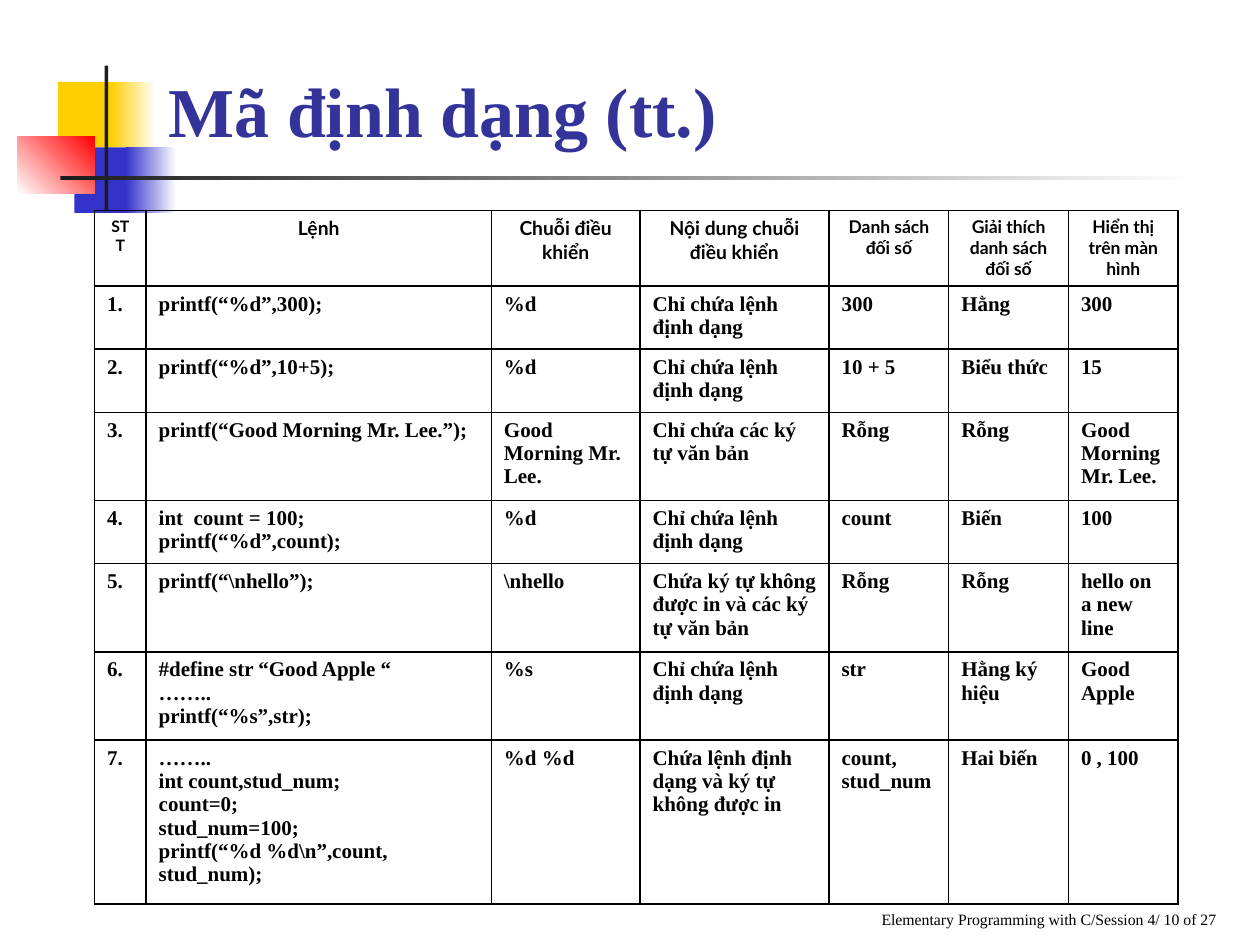
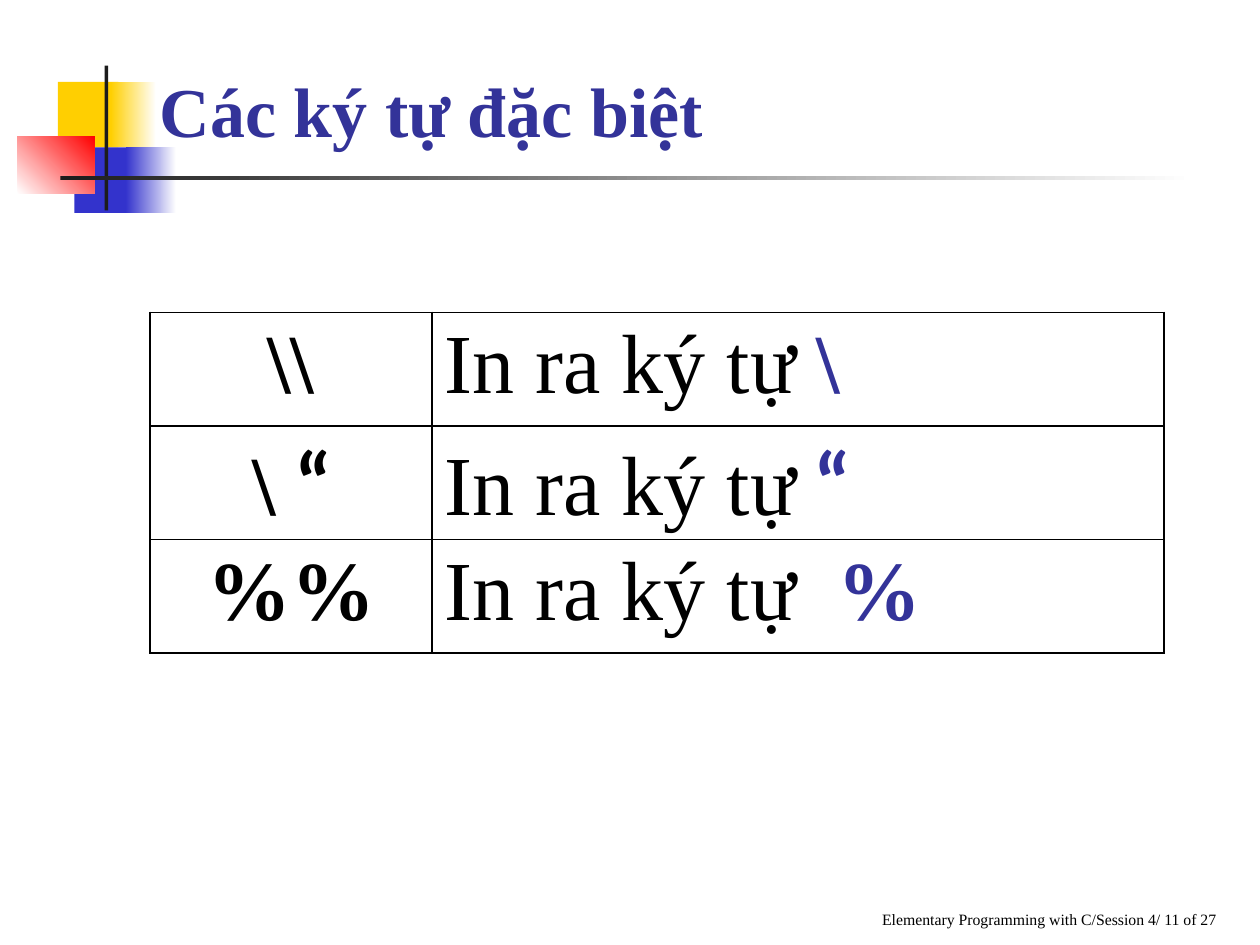
from pptx import Presentation
from pptx.dml.color import RGBColor
from pptx.enum.shapes import MSO_SHAPE
from pptx.enum.text import MSO_ANCHOR, PP_ALIGN
from pptx.oxml import parse_xml
from pptx.oxml.ns import nsdecls
from pptx.util import Inches, Pt

COLORS = {
    "yellow": "FFCF01", "blue": "3333CC", "red": "FF0000", "dark": "1C1C1C",
    "white": "FFFFFF", "black": "000000", "accent": "333399",
}
SERIF, SANS = "Times New Roman", "Lato"

# Decoration: left, top, width, height, colours (two make a gradient), angle
BANDS = [
    (0.46, 0.65, 0.48, 0.52, ["yellow"], 0),
    (0.88, 0.65, 0.36, 0.52, ["yellow", "white"], 0),
    (0.59, 1.17, 0.46, 0.52, ["blue"], 0),
    (1, 1.17, 0.4, 0.52, ["blue", "white"], 0),
    (0.14, 1.08, 0.61, 0.46, ["white", "red"], 45),
    (0.83, 0.52, 0.03, 1.15, ["dark"], 0),
    (0.48, 1.4, 9, 0.03, ["dark", "white"], 0),
]

# Title, title box, page number
SLIDES = [
    ("Mã định dạng (tt.)", (1.24, 0.52, 6.76, 0.73), 10),
    ("Các ký tự đặc biệt", (1.17, 0.43, 6.43, 0.82), 11),
]

FORMAT_COLS = [0.41, 2.74, 1.18, 1.5, 0.95, 0.95, 0.87]
FORMAT_ROWS = [0.42, 0.39, 0.32, 0.41, 0.44, 0.4, 0.61, 0.99]
HEADER_SIZES = [9, 11, 11, 11, 10, 10, 10]
ONLY_FORMAT = "Chỉ chứa lệnh định dạng"
FORMAT_CELLS = [
    ["STT", "Lệnh", "Chuỗi điều khiển", "Nội dung chuỗi điều khiển",
     "Danh sách đối số", "Giải thích danh sách đối số",
     "Hiển thị trên màn hình"],
    ["1.", "printf(“%d”,300);", "%d", ONLY_FORMAT, "300", "Hằng", "300"],
    ["2.", "printf(“%d”,10+5);", "%d", ONLY_FORMAT, "10 + 5", "Biểu thức",
     "15"],
    ["3.", "printf(“Good Morning Mr. Lee.”);", "Good Morning Mr. Lee.",
     "Chỉ chứa các ký tự văn bản", "Rỗng", "Rỗng", "Good Morning Mr. Lee."],
    ["4.", "int  count = 100;\nprintf(“%d”,count);", "%d", ONLY_FORMAT,
     "count", "Biến", "100"],
    ["5.", "printf(“\\nhello”);", "\\nhello",
     "Chứa ký tự không được in và các ký tự văn bản", "Rỗng", "Rỗng",
     "hello on a new line"],
    ["6.", "#define str “Good Apple “\n……..\nprintf(“%s”,str);", "%s",
     ONLY_FORMAT, "str", "Hằng ký hiệu", "Good Apple"],
    ["7.", "……..\nint count,stud_num;\ncount=0;\nstud_num=100;\n"
     "printf(“%d %d\\n”,count, stud_num);", "%d %d",
     "Chứa lệnh định dạng và ký tự không được in", "count, stud_num",
     "Hai biến", "0 , 100"],
]

# Escape sequence as (text, font) runs, description, printed character, font
ESCAPES = [
    ([("\\\\", SERIF)], "In ra ký tự ", "\\", SERIF),
    ([("\\ ", SERIF), ("“", SANS)], "In ra ký tự ", "“ ", SANS),
    ([("%%", SERIF)], "In ra ký tự  ", "%", SERIF),
]


def style_run(r, size, color="black", bold=True, font=SERIF):
    """Set the font, size, weight and colour of a run."""
    r.font.name, r.font.size, r.font.bold = font, Pt(size), bold
    r.font.color.rgb = RGBColor.from_string(COLORS[color])


def add_grid(s, left, top, cols, rows):
    """Add an unfilled table with thin black borders and return its frame."""
    frame = s.shapes.add_table(len(rows), len(cols), Inches(left), Inches(top),
                               Inches(sum(cols)), Inches(sum(rows)))
    table = frame.table
    table.first_row = table.horz_banding = False
    for col, width in zip(table.columns, cols):
        col.width = Inches(width)
    for row, height in zip(table.rows, rows):
        row.height = Inches(height)
    for cell in table.iter_cells():
        tc_pr = cell._tc.get_or_add_tcPr()
        for side in "LRTB":
            tc_pr.append(parse_xml(
                f'<a:ln{side} {nsdecls("a")} w="12700"><a:solidFill>'
                f'<a:srgbClr val="{COLORS["black"]}"/></a:solidFill></a:ln{side}>'))
        cell.fill.background()
    return frame


prs = Presentation()
prs.slide_width, prs.slide_height = Inches(10), Inches(7.5)

# Shared frame: bands, footer and title
for title, title_box, page in SLIDES:
    s = prs.slides.add_slide(prs.slide_layouts[6])
    for *box, names, angle in BANDS:
        sp = s.shapes.add_shape(MSO_SHAPE.RECTANGLE, *map(Inches, box))
        sp.shadow.inherit = False
        sp.line.fill.background()
        if len(names) == 1:
            sp.fill.solid()
            sp.fill.fore_color.rgb = RGBColor.from_string(COLORS[names[0]])
        else:
            sp.fill.gradient()
            sp.fill.gradient_angle = angle
            for stop, name, pos in zip(sp.fill.gradient_stops, names, (0, 1)):
                stop.color.rgb = RGBColor.from_string(COLORS[name])
                stop.position = pos

    footer = f"Elementary Programming with C/Session 4/ {page} of 27"
    for text, box, size, color, bold, align in [
        (footer, (3.67, 6.92, 6.08, 0.5), 9, "black", False, PP_ALIGN.RIGHT),
        (title, title_box, 40, "accent", True, PP_ALIGN.LEFT),
    ]:
        tf = s.shapes.add_textbox(*map(Inches, box)).text_frame
        tf.word_wrap = True
        tf.vertical_anchor = MSO_ANCHOR.BOTTOM
        tf.text = text
        p = tf.paragraphs[0]
        p.alignment = align
        style_run(p.runs[0], size, color, bold)

format_slide, escape_slide = prs.slides

# Format codes
frame = add_grid(format_slide, 0.75, 1.67, FORMAT_COLS, FORMAT_ROWS)
frame.height = Inches(5.5)
for i, texts in enumerate(FORMAT_CELLS):
    for j, text in enumerate(texts):
        tf = frame.table.cell(i, j).text_frame
        tf.text = text
        for p in tf.paragraphs:
            if i == 0:
                p.alignment = PP_ALIGN.CENTER
                style_run(p.runs[0], HEADER_SIZES[j], font=SANS)
            else:
                style_run(p.runs[0], 12)

# Special characters
table = add_grid(escape_slide, 1.19, 2.48, [2.24, 5.81], [0.9] * 3).table
for i, (sequence, description, char, char_font) in enumerate(ESCAPES):
    p = table.cell(i, 0).text_frame.paragraphs[0]
    p.alignment = PP_ALIGN.CENTER
    for text, font in sequence:
        r = p.add_run()
        r.text = text
        style_run(r, 48, font=font)
    p = table.cell(i, 1).text_frame.paragraphs[0]
    for text, color, bold, font in [(description, "black", False, SERIF),
                                    (char, "accent", True, char_font)]:
        r = p.add_run()
        r.text = text
        style_run(r, 48, color, bold, font)

prs.save("out.pptx")
